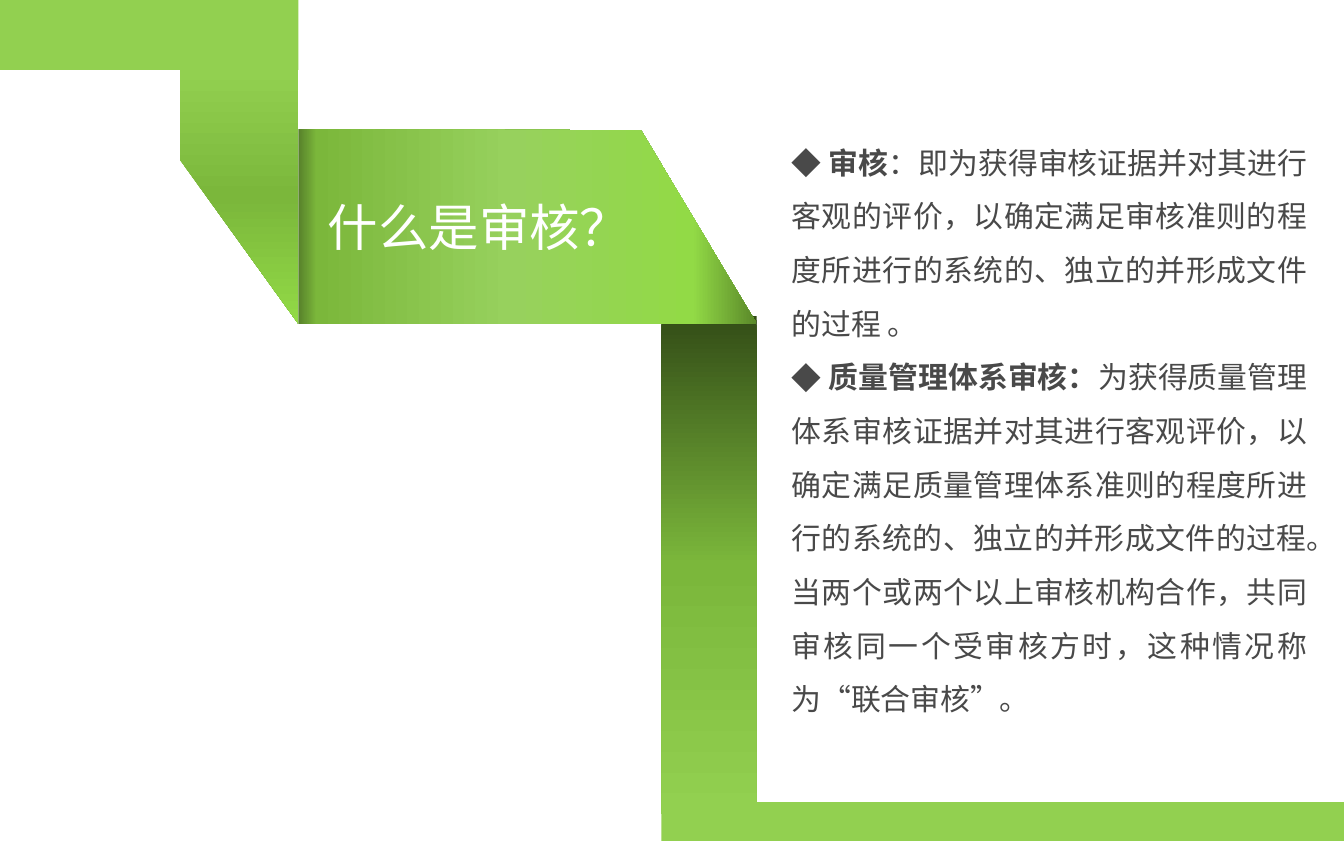
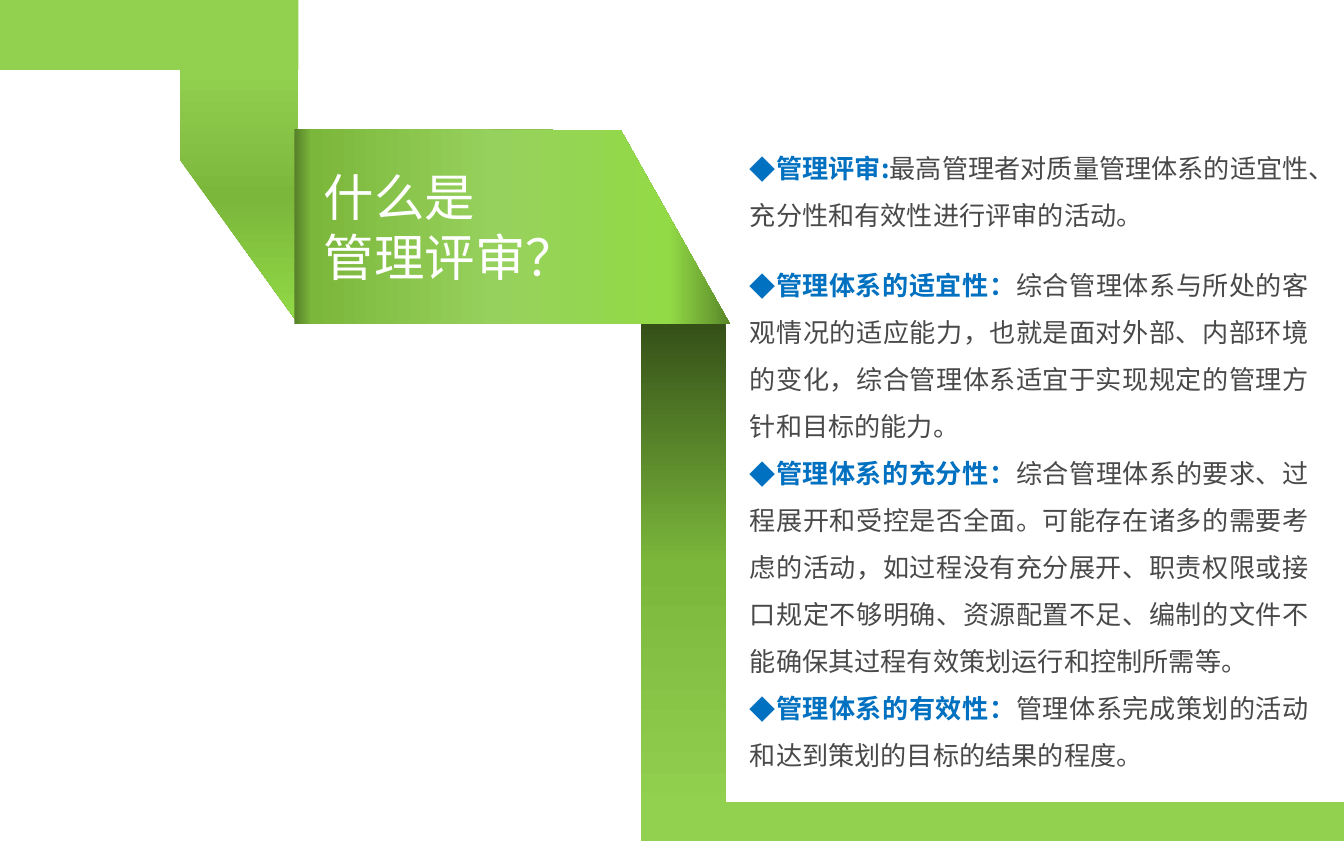
from lxml import etree
from pptx import Presentation
from pptx.dml.color import RGBColor
from pptx.enum import shapes, text
from pptx.oxml import ns
from pptx.util import Inches, Pt

FONT = "Noto Sans CJK SC"
WIDTH, HEIGHT = 10, 6.26
GREEN = RGBColor(0x92, 0xD0, 0x50)
GRAY = RGBColor(0x49, 0x49, 0x49)
BLUE = RGBColor(0x00, 0x70, 0xC0)
WHITE = RGBColor(0xFF, 0xFF, 0xFF)
TAIL_STOPS = [(0, "334D17"), (50, "7BB73B"), (100, "92D050")]
FOLD_STOPS = [(0, "92D050"), (50, "7BB73B"), (100, "92DA46")]
RIBBON_STOPS = [(0, "57812A"), (4, "7BB73B"), (46, "97D15D"), (86, "92DA46"), (100, "5A8829")]
DOWN, ACROSS = 270, 0

BAND_WIDTH, BAND_HEIGHT = 2.22, 0.52
FOLD_LEFT, FOLD_MIDDLE = 1.34, 1.19
RIBBON_TOP, RIBBON_BOTTOM = 0.96, 2.41
TAIL_TOP, TAIL_HEIGHT = 2.35, 3.71
FOOT_TOP = 5.97

PAGES = [
    {
        "title": ["什么是审核？"],
        "ribbon": (2.22, 4.77, 5.63),
        "tail": (4.92, 0.71),
        "body": (5.78, 0.94, 4.06, 5),
        "size": 16,
        "term_color": GRAY,
        "first_gap": 0,
        "items": [
            (" 审核", "：即为获得审核证据并对其进行客观的评价，以确定满足审核准则的程度所进行的系统的、独立的并形成文件的过程 。"),
            (" 质量管理体系审核：", "为获得质量管理体系审核证据并对其进行客观评价，以确定满足质量管理体系准则的程度所进行的系统的、独立的并形成文件的过程。当两个或两个以上审核机构合作，共同审核同一个受审核方时，这种情况称为“联合审核”。"),
        ],
    },
    {
        "title": ["什么是", "管理评审？"],
        "ribbon": (2.19, 4.62, 5.43),
        "tail": (4.77, 0.63),
        "body": (5.47, 1.02, 4.38, 4.84),
        "size": 14,
        "term_color": BLUE,
        "first_gap": 12,
        "items": [
            ("管理评审:", "最高管理者对质量管理体系的适宜性、充分性和有效性进行评审的活动。"),
            ("管理体系的适宜性：", "综合管理体系与所处的客观情况的适应能力，也就是面对外部、内部环境的变化，综合管理体系适宜于实现规定的管理方针和目标的能力。"),
            ("管理体系的充分性：", "综合管理体系的要求、过程展开和受控是否全面。可能存在诸多的需要考虑的活动，如过程没有充分展开、职责权限或接口规定不够明确、资源配置不足、编制的文件不能确保其过程有效策划运行和控制所需等。"),
            ("管理体系的有效性：", "管理体系完成策划的活动和达到策划的目标的结果的程度。"),
        ],
    },
]


def paint(shape, color=None, stops=None, angle=DOWN):
    shape.shadow.inherit = False
    shape.line.fill.background()
    if color is not None:
        shape.fill.solid()
        shape.fill.fore_color.rgb = color
        return
    shape.fill.gradient()
    shape.fill.gradient_angle = angle
    stop_list = shape.element.spPr.find(ns.qn("a:gradFill")).find(ns.qn("a:gsLst"))
    for old in list(stop_list):
        stop_list.remove(old)
    for percent, value in stops:
        stop = etree.SubElement(stop_list, ns.qn("a:gs"), pos=str(percent * 1000))
        etree.SubElement(stop, ns.qn("a:srgbClr"), val=value)


def add_rectangle(page, left, top, width, height, **look):
    box = page.shapes.add_shape(shapes.MSO_SHAPE.RECTANGLE, *map(Inches, (left, top, width, height)))
    paint(box, **look)


def add_outline(page, points, **look):
    start, *rest = [(Inches(x), Inches(y)) for x, y in points]
    builder = page.shapes.build_freeform(*start)
    builder.add_line_segments(rest, close=True)
    paint(builder.convert_to_shape(), **look)


def add_span(para, words, size, color, bold=False):
    span = para.add_run()
    span.text = words
    span.font.size = Pt(size)
    span.font.bold = bold
    span.font.color.rgb = color
    span.font.name = FONT
    etree.SubElement(span.font._element, ns.qn("a:ea"), typeface=FONT)


def add_bullet(para):
    properties = para._p.get_or_add_pPr()
    properties.set("marL", "0")
    properties.set("indent", "0")
    etree.SubElement(properties, ns.qn("a:buFont"), typeface=FONT)
    etree.SubElement(properties, ns.qn("a:buChar"), char="◆")


def place(holder, bounds, margins, anchor):
    holder.left, holder.top, holder.width, holder.height = map(Inches, bounds)
    tree = holder.element.getparent()
    tree.append(holder.element)
    frame = holder.text_frame
    frame.word_wrap = True
    frame.auto_size = text.MSO_AUTO_SIZE.NONE
    frame.vertical_anchor = anchor
    frame.margin_left, frame.margin_top, frame.margin_right, frame.margin_bottom = map(Inches, margins)
    return frame


def add_paragraphs(frame, count):
    for _ in range(count - 1):
        frame.add_paragraph()
    for para in frame.paragraphs:
        para.alignment = text.PP_ALIGN.JUSTIFY
        para.space_before = Pt(0)
    return frame.paragraphs


def draw_ribbons(page, content):
    tail_left, tail_width = content["tail"]
    left, top_right, right = content["ribbon"]
    add_rectangle(page, tail_left, TAIL_TOP, tail_width, TAIL_HEIGHT, stops=TAIL_STOPS)
    add_outline(page, [(FOLD_LEFT, BAND_HEIGHT), (BAND_WIDTH, BAND_HEIGHT),
                       (BAND_WIDTH, RIBBON_BOTTOM), (FOLD_LEFT, FOLD_MIDDLE)], stops=FOLD_STOPS)
    add_outline(page, [(left, RIBBON_TOP), (top_right, RIBBON_TOP + 0.01),
                       (right, RIBBON_BOTTOM), (left, RIBBON_BOTTOM)],
                stops=RIBBON_STOPS, angle=ACROSS)
    add_rectangle(page, 0, 0, BAND_WIDTH, BAND_HEIGHT, color=GREEN)
    add_rectangle(page, tail_left, FOOT_TOP, WIDTH - tail_left, HEIGHT - FOOT_TOP, color=GREEN)


def write_title(page, content):
    left, _, right = content["ribbon"]
    bounds = (left, RIBBON_TOP, right - left, RIBBON_BOTTOM - RIBBON_TOP)
    frame = place(page.shapes.title, bounds, (0.22, 0.04, 0.67, 0.04), text.MSO_ANCHOR.MIDDLE)
    for para, words in zip(add_paragraphs(frame, len(content["title"])), content["title"]):
        add_span(para, words, 27, WHITE)


def write_body(page, content):
    frame = place(page.placeholders[1], content["body"], (0.11, 0, 0.11, 0), text.MSO_ANCHOR.TOP)
    paragraphs = add_paragraphs(frame, len(content["items"]))
    for para, (term, meaning) in zip(paragraphs, content["items"]):
        add_bullet(para)
        para.line_spacing = 1.5
        add_span(para, term, content["size"], content["term_color"], bold=True)
        add_span(para, meaning, content["size"], GRAY)
    paragraphs[0].space_after = Pt(content["first_gap"])


def main():
    deck = Presentation()
    deck.slide_width, deck.slide_height = Inches(WIDTH), Inches(HEIGHT)
    for content in PAGES:
        page = deck.slides.add_slide(deck.slide_layouts[1])
        draw_ribbons(page, content)
        write_title(page, content)
        write_body(page, content)
    deck.save("out.pptx")


if __name__ == "__main__":
    main()
